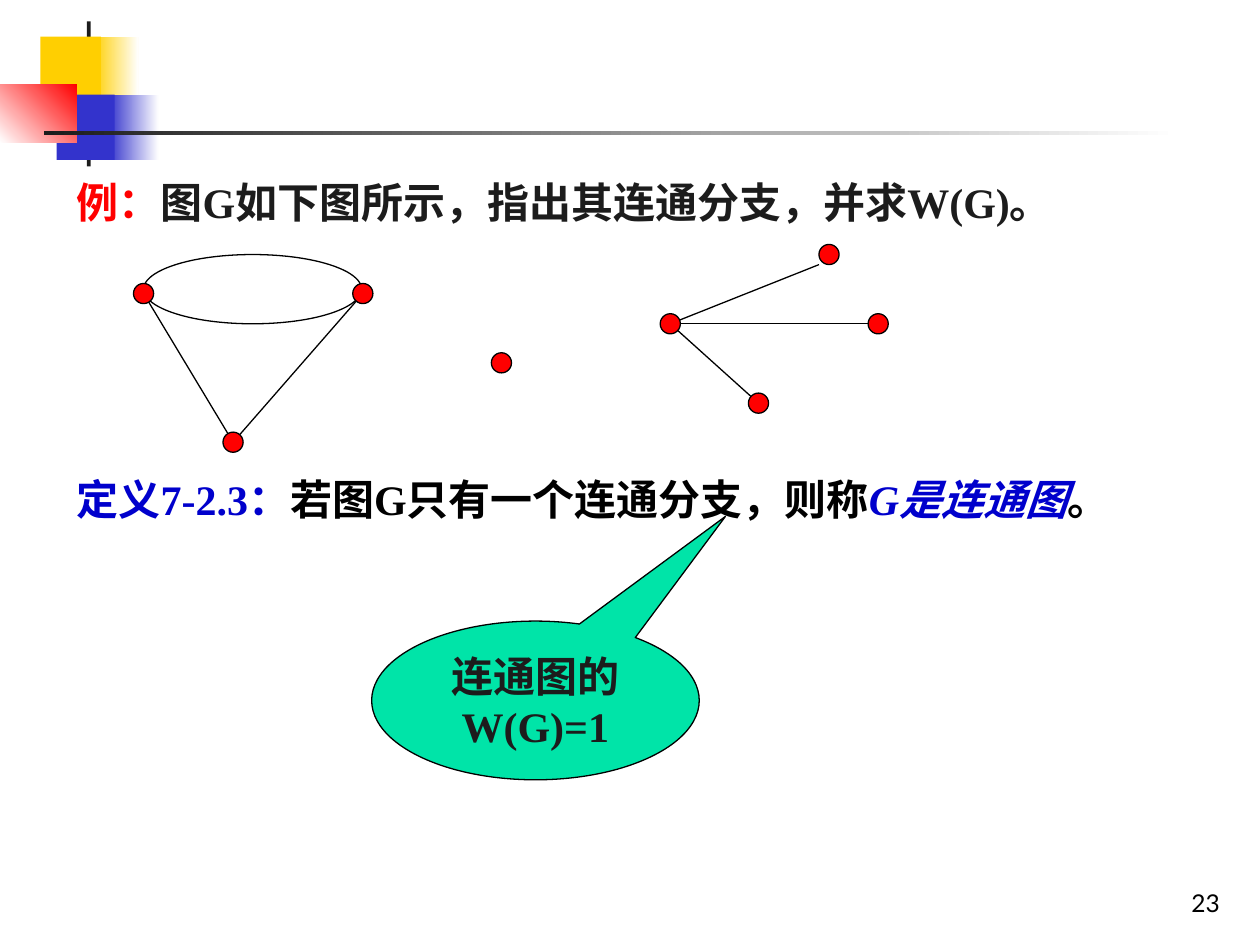
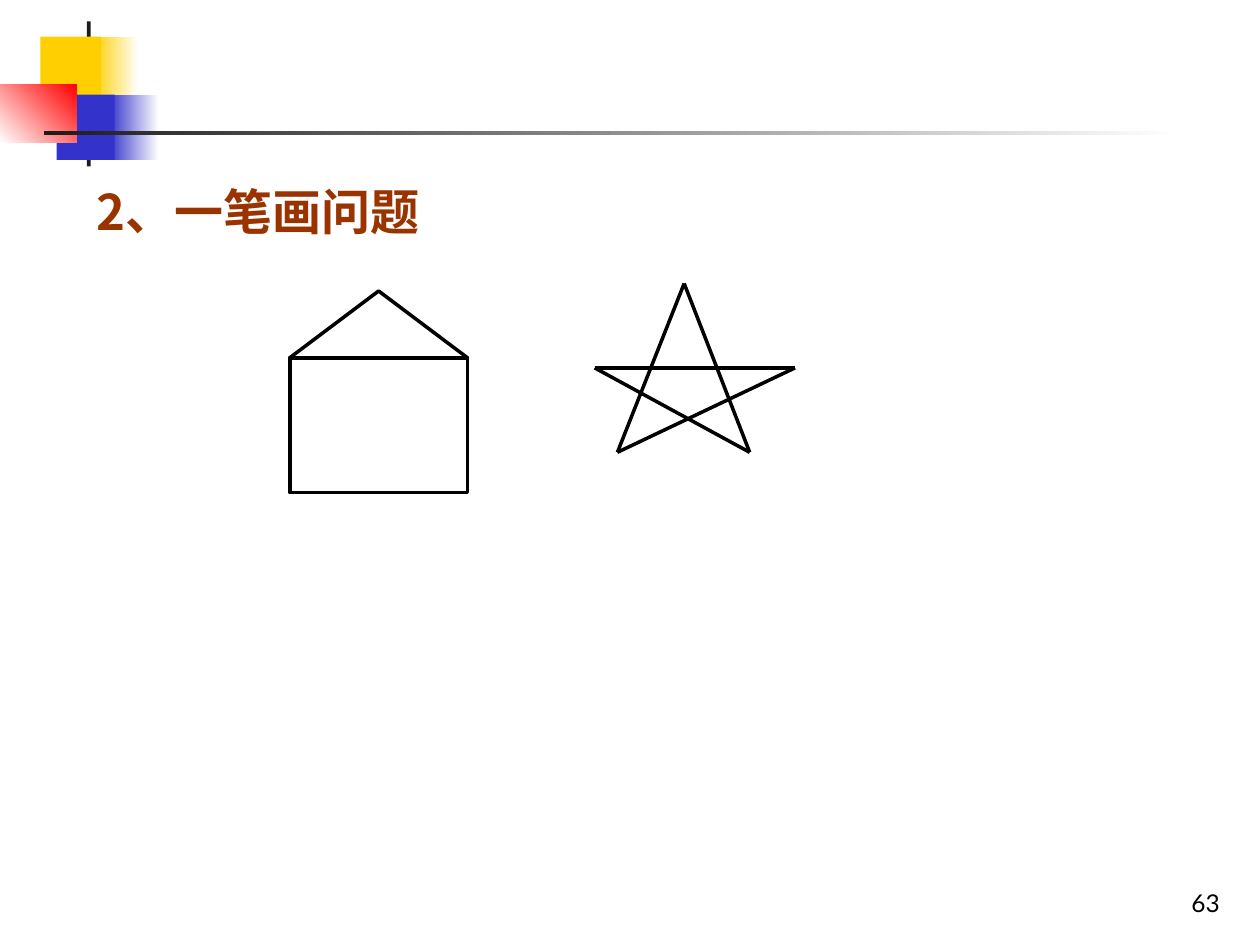
from lxml import etree
from pptx import Presentation, util as u
from pptx.dml.color import RGBColor
from pptx.enum import shapes, text
from pptx.oxml.ns import qn

COLORS = {
    "white": "FFFFFF", "black": "000000", "ink": "1C1C1C", "yellow": "FFCF01",
    "indigo": "3333CC", "red": "FF0000", "blue": "0000CC", "green": "00E4A8",
    "brown": "993300",
}
SERIF, CJK, SANS = "Times New Roman", "Noto Sans CJK SC", "Lato"
SHAPE, ALIGN = shapes.MSO_SHAPE, text.PP_ALIGN

BANDS = [
    ((0.74, 0.29, 0.36, 0.52), ("yellow", "white"), 0),
    ((0.86, 0.75, 0.4, 0.52), ("indigo", "white"), 0),
    ((0.69, 0.17, 0.03, 1.15), "ink", 0),
    ((0.32, 0.29, 0.48, 0.52), "yellow", 0),
    ((0.45, 0.75, 0.46, 0.52), "indigo", 0),
    ((0, 0.67, 0.61, 0.46), ("white", "red"), 45),
    ((0.35, 1.04, 9, 0.03), ("ink", "white"), 0),
]

EXAMPLE = [("例：", "red", False),
           ("图G如下图所示，指出其连通分支，并求W(G)。", "ink", False)]
DEFINITION = [("定义7-2.3：", "blue", False),
              ("若图G只有一个连通分支，则称", "black", False),
              ("G是连通图", "blue", True), ("。", "black", False)]
CALLOUT = [("连通图的W(G)=1", "ink", False)]
HEADING = [("2、一笔画问题", "brown", False)]

NODE_SIZE = 0.16
NODES = {
    "left": (1.14, 2.33), "right": (2.88, 2.33), "bottom": (1.85, 3.51),
    "hub": (5.32, 2.57), "isolated": (3.98, 2.88), "east": (6.97, 2.57),
    "southeast": (6.02, 3.2), "northeast": (6.58, 2.02),
}
EDGES = [("left", "bottom"), ("right", "bottom"), ("east", "hub"), ("southeast", "hub")]
NORTHEAST_EDGE_START = (6.5, 2.1)
DOUBLE_EDGE = (1.14, 2.02, 1.73, 0.55)

HOUSE_LEFT, HOUSE_TOP, HOUSE_WIDTH = 2.3, 2.31, 1.41
ROOF_HEIGHT, WALL_HEIGHT = 0.53, 1.07
STAR_STROKE = [(5.43, 2.25), (4.9, 3.59), (6.31, 2.92), (4.72, 2.92), (5.95, 3.59)]


def rgb(name):
    return RGBColor.from_string(COLORS[name])


def inches(values):
    return [u.Inches(value) for value in values]


def add_shape(slide, kind, box, fill=None, line_width=None, angle=0):
    shape = slide.shapes.add_shape(kind, *inches(box))
    shape.shadow.inherit = False
    if fill is None:
        shape.fill.background()
    elif isinstance(fill, tuple):
        shape.fill.gradient()
        shape.fill.gradient_angle = angle
        for stop, name in zip(shape.fill.gradient_stops, fill):
            stop.color.rgb = rgb(name)
    else:
        shape.fill.solid()
        shape.fill.fore_color.rgb = rgb(fill)
    if line_width:
        shape.line.color.rgb = rgb("black")
        shape.line.width = u.Pt(line_width)
    else:
        shape.line.fill.background()
    return shape


def add_line(slide, start, end, width):
    line = slide.shapes.add_connector(shapes.MSO_CONNECTOR.STRAIGHT, *inches(start + end))
    line.line.color.rgb = rgb("black")
    line.line.width = u.Pt(width)
    etree.SubElement(line._element.spPr, qn("a:effectLst"))


def write(shape, runs, size, font, bold=True, align=ALIGN.LEFT, spacing=None):
    shape.text_frame.word_wrap = True
    paragraph = shape.text_frame.paragraphs[0]
    paragraph.alignment = align
    if spacing:
        paragraph.line_spacing = spacing
    for words, color, italic in runs:
        run = paragraph.add_run()
        run.text = words
        run.font.size = u.Pt(size)
        run.font.bold = bold
        run.font.italic = italic
        run.font.color.rgb = rgb(color)
        run.font.name = font
        east_asian = etree.Element(qn("a:ea"), typeface=CJK)
        run.font._element.find(qn("a:latin")).addnext(east_asian)


def add_text(slide, box, runs, size, font, **style):
    textbox = slide.shapes.add_textbox(*inches(box))
    write(textbox, runs, size, font, **style)
    return textbox


def add_base_slide(presentation, number):
    slide = presentation.slides.add_slide(presentation.slide_layouts[6])
    for box, fill, angle in BANDS:
        add_shape(slide, SHAPE.RECTANGLE, box, fill, angle=angle)
    footer = add_text(slide, (7.7, 6.83, 2.08, 0.5), [(number, "black", False)], 14, SANS,
                      bold=False, align=ALIGN.RIGHT)
    footer.text_frame.vertical_anchor = text.MSO_ANCHOR.BOTTOM
    return slide


def build_connected_graph(presentation):
    slide = add_base_slide(presentation, "23")
    add_text(slide, (0.51, 3.59, 9.05, 0.62), DEFINITION, 24, SERIF,
             align=ALIGN.JUSTIFY, spacing=1.3)
    add_text(slide, (0.51, 1.23, 9.05, 0.62), EXAMPLE, 24, SERIF, spacing=1.3)
    for start, end in EDGES:
        add_line(slide, NODES[start], NODES[end], 0.75)
    add_line(slide, NORTHEAST_EDGE_START, NODES["hub"], 0.75)
    add_shape(slide, SHAPE.OVAL, DOUBLE_EDGE, line_width=0.75)
    for x, y in NODES.values():
        box = (x - NODE_SIZE / 2, y - NODE_SIZE / 2, NODE_SIZE, NODE_SIZE)
        add_shape(slide, SHAPE.OVAL, box, "red", 0.75)
    callout = add_shape(slide, SHAPE.OVAL_CALLOUT, (2.95, 4.93, 2.6, 1.26), "green", 0.75)
    callout.adjustments[0] = 0.58
    callout.adjustments[1] = -1.16
    callout.text_frame.vertical_anchor = text.MSO_ANCHOR.TOP
    write(callout, CALLOUT, 24, SERIF, align=ALIGN.CENTER)


def build_one_stroke(presentation):
    slide = add_base_slide(presentation, "63")
    add_text(slide, (0.67, 1.39, 8.27, 0.57), HEADING, 28, CJK)
    roof = (HOUSE_LEFT, HOUSE_TOP, HOUSE_WIDTH, ROOF_HEIGHT)
    wall = (HOUSE_LEFT, HOUSE_TOP + ROOF_HEIGHT, HOUSE_WIDTH, WALL_HEIGHT)
    add_shape(slide, SHAPE.ISOSCELES_TRIANGLE, roof, "white", 2)
    add_shape(slide, SHAPE.RECTANGLE, wall, "white", 2)
    for start, end in zip(STAR_STROKE, STAR_STROKE[1:] + STAR_STROKE[:1]):
        add_line(slide, start, end, 2)


def main():
    presentation = Presentation()
    presentation.slide_width, presentation.slide_height = inches((10, 7.5))
    build_connected_graph(presentation)
    build_one_stroke(presentation)
    presentation.save("out.pptx")


if __name__ == "__main__":
    main()
